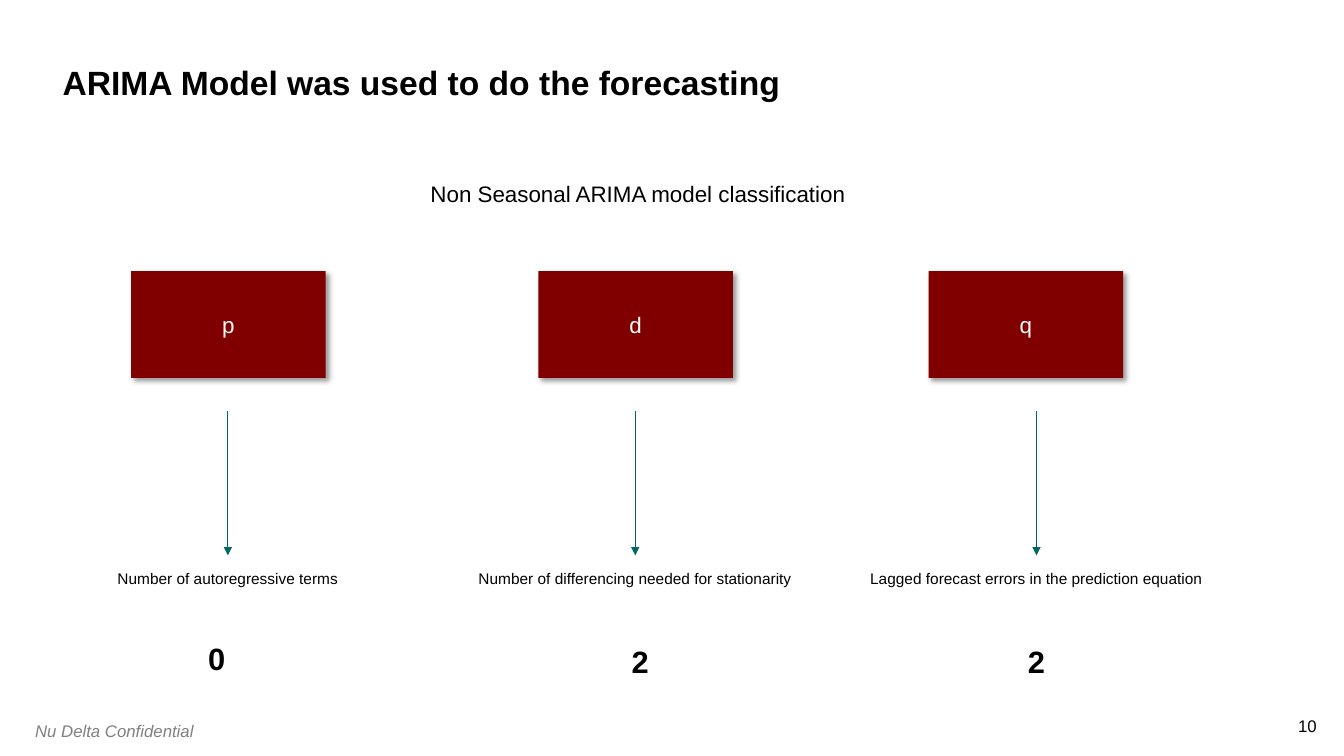
"""Build the slide on the ARIMA model and its three orders."""
from dataclasses import dataclass

from lxml.etree import SubElement
from pptx import Presentation
from pptx.dml.color import RGBColor
from pptx.enum.shapes import MSO_CONNECTOR as CONN, MSO_SHAPE as SHAPE
from pptx.enum.text import MSO_ANCHOR as ANCHOR, MSO_AUTO_SIZE as FIT, PP_ALIGN as ALIGN
from pptx.oxml.ns import qn
from pptx.slide import Slide
from pptx.text.text import TextFrame
from pptx.util import Inches, Pt


@dataclass(frozen=True)
class Theme:
    font: str = "Arial"
    ink: str = "000000"
    paper: str = "FFFFFF"
    grey: str = "808080"
    maroon: str = "800000"
    teal: str = "006666"
    title: int = 24
    value: int = 22
    body: int = 16
    footer: int = 12
    label: int = 11


@dataclass(frozen=True)
class Box:
    left: float
    top: float
    width: float
    height: float

    def emu(self) -> list[Inches]:
        return [Inches(v) for v in (self.left, self.top, self.width, self.height)]


@dataclass(frozen=True)
class Order:
    symbol: str
    meaning: str
    value: str
    box_left: float
    arrow_x: float
    label_x: float
    value_x: float
    value_top: float = 6.33


T = Theme()
ORDERS = (
    Order("p", "Number of autoregressive terms", "0", 1.3, 2.26, 2.26, 2.15, 6.3),
    Order("d", "Number of differencing needed for stationarity", "2", 5.34, 6.3, 6.3, 6.35),
    Order("q", "Lagged forecast errors in the prediction equation", "2", 9.21, 10.28, 10.28, 10.28),
)


def write(tf: TextFrame, text: str, size: int, color: str = T.ink,
          align: ALIGN = ALIGN.LEFT, bold: bool = False, italic: bool = False,
          inset: float | None = None, wrap: bool = True) -> None:
    tf.text = text
    tf.word_wrap = wrap
    tf.auto_size = FIT.NONE
    if inset is not None:
        tf.margin_left = tf.margin_right = tf.margin_top = tf.margin_bottom = Inches(inset)
    p = tf.paragraphs[0]
    p.alignment = align
    f = p.font
    f.name, f.size, f.bold, f.italic = T.font, Pt(size), bold, italic
    f.color.rgb = RGBColor.from_string(color)


def add_text(s: Slide, box: Box, text: str, size: int, **style) -> None:
    write(s.shapes.add_textbox(*box.emu()).text_frame, text, size, **style)


def add_title(s: Slide, box: Box, text: str) -> None:
    sp = s.shapes.title
    sp.left, sp.top, sp.width, sp.height = box.emu()
    tf = sp.text_frame
    write(tf, text, T.title, bold=True, inset=0)
    tf.vertical_anchor = ANCHOR.BOTTOM
    tf.paragraphs[0].line_spacing = 0.9


def add_block(s: Slide, box: Box, text: str) -> None:
    sp = s.shapes.add_shape(SHAPE.RECTANGLE, *box.emu())
    sp.shadow.inherit = False
    sp.fill.solid()
    sp.fill.fore_color.rgb = RGBColor.from_string(T.maroon)
    sp.line.fill.background()
    effects = sp._element.spPr.find(qn("a:effectLst"))
    shadow = SubElement(effects, qn("a:outerShdw"), blurRad=str(Pt(4)), dist=str(Pt(3)),
                        dir="2700000", algn="tl", rotWithShape="0")
    color = SubElement(shadow, qn("a:srgbClr"), val=T.ink)
    SubElement(color, qn("a:alpha"), val="40000")
    write(sp.text_frame, text, T.body, color=T.paper, align=ALIGN.CENTER, inset=0.05, wrap=False)
    sp.text_frame.vertical_anchor = ANCHOR.MIDDLE


def add_arrow(s: Slide, x: float, top: float, bottom: float) -> None:
    c = s.shapes.add_connector(CONN.STRAIGHT, Inches(x), Inches(top), Inches(x), Inches(bottom))
    c.line.width = Pt(0.75)
    c.line.color.rgb = RGBColor.from_string(T.teal)
    SubElement(c.line._get_or_add_ln(), qn("a:tailEnd"), type="triangle")
    SubElement(c._element.spPr, qn("a:effectLst"))


def add_order(s: Slide, order: Order) -> None:
    label_w, value_w = 3.6, 0.6
    add_block(s, Box(order.box_left, 2.69, 1.93, 1.06), order.symbol)
    add_arrow(s, order.arrow_x, 4.08, 5.51)
    add_text(s, Box(order.label_x - label_w / 2, 5.6, label_w, 0.29), order.meaning,
             T.label, align=ALIGN.CENTER)
    add_text(s, Box(order.value_x - value_w / 2, order.value_top, value_w, 0.47), order.value,
             T.value, align=ALIGN.CENTER, bold=True)


def main() -> None:
    prs = Presentation()
    prs.slide_width, prs.slide_height = Inches(13.33), Inches(7.5)
    s = prs.slides.add_slide(prs.slide_layouts[5])
    add_title(s, Box(0.62, 0.1, 12.1, 0.92), "ARIMA Model was used to do the forecasting")
    add_text(s, Box(4.27, 1.79, 5, 0.3), "Non Seasonal ARIMA model classification",
             T.body, inset=0)
    for order in ORDERS:
        add_order(s, order)
    add_text(s, Box(0.25, 7.1, 2.46, 0.3), "Nu Delta Confidential", T.footer,
             color=T.grey, italic=True)
    add_text(s, Box(12.85, 7.1, 0.21, 0.2), "10", T.footer, align=ALIGN.RIGHT,
             inset=0, wrap=False)
    prs.save("out.pptx")


if __name__ == "__main__":
    main()
